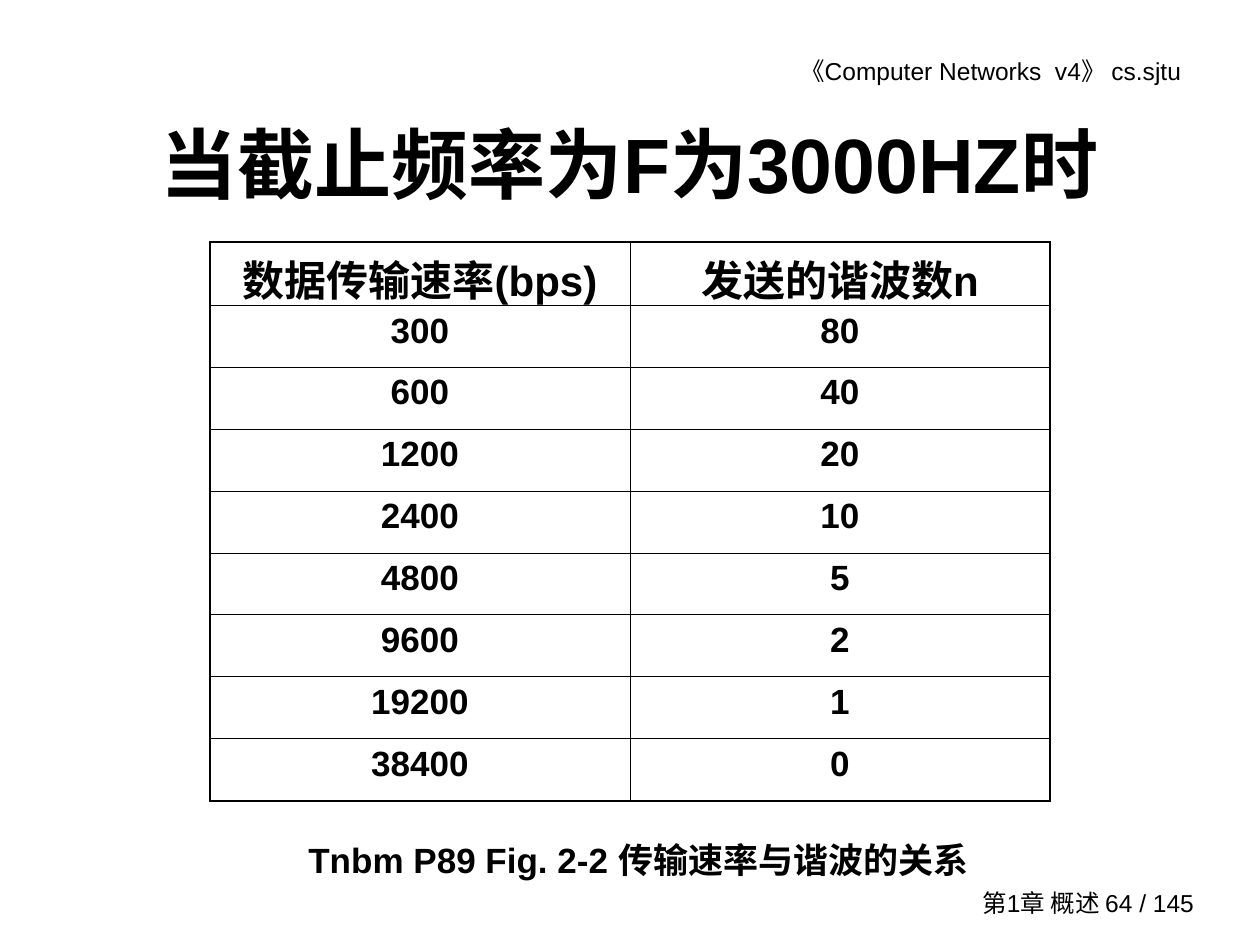
"""Build a slide that tabulates data rates against harmonics sent at a 3000 HZ cutoff."""
from lxml import etree
from pptx import Presentation
from pptx.dml.color import RGBColor
from pptx.enum.text import MSO_ANCHOR, MSO_AUTO_SIZE, PP_ALIGN
from pptx.oxml.ns import qn
from pptx.util import Pt

EMU_PER_PX = 914400 / 126
CENTER, RIGHT = PP_ALIGN.CENTER, PP_ALIGN.RIGHT
TOP, MIDDLE = MSO_ANCHOR.TOP, MSO_ANCHOR.MIDDLE
NO_AUTOFIT = MSO_AUTO_SIZE.NONE
COLORS = {"text": "000000", "border": "000000"}
FONT = "Arial"
TITLE_ONLY = 5
OUTER_BORDER, INNER_BORDER = 1.08, 0.45

HEADINGS = ("数据传输速率(bps)", "发送的谐波数n")
HARMONICS = {300: 80, 600: 40, 1200: 20, 2400: 10,
             4800: 5, 9600: 2, 19200: 1, 38400: 0}


def px(length):
    return round(length * EMU_PER_PX)


def write_text(frame, text, size=20, bold=True, align=CENTER):
    paragraph = frame.paragraphs[0]
    paragraph.text = text
    paragraph.alignment = align
    font = paragraph.runs[0].font
    font.name, font.size, font.bold = FONT, Pt(size), bold
    font.color.rgb = RGBColor.from_string(COLORS["text"])


class SlideBuilder:
    def __init__(self, presentation):
        self.slide = presentation.slides.add_slide(presentation.slide_layouts[TITLE_ONLY])

    def title(self, text, left, top, width, height):
        title = self.slide.shapes.title
        title.left, title.top = px(left), px(top)
        title.width, title.height = px(width), px(height)
        title.text_frame.auto_size = NO_AUTOFIT
        title.text_frame.vertical_anchor = MIDDLE
        write_text(title.text_frame, text, size=44)

    def text_box(self, text, left, top, width, height, anchor=TOP, right_margin=13, **style):
        box = self.slide.shapes.add_textbox(px(left), px(top), px(width), px(height))
        frame = box.text_frame
        frame.word_wrap = True
        frame.vertical_anchor = anchor
        frame.margin_right = px(right_margin)
        write_text(frame, text, **style)

    def border(self, cell, side, width):
        line = etree.SubElement(cell._tc.get_or_add_tcPr(), qn(f"a:ln{side}"), w=str(Pt(width)))
        fill = etree.SubElement(line, qn("a:solidFill"))
        etree.SubElement(fill, qn("a:srgbClr"), val=COLORS["border"])

    def table(self, rows, left, top, width, header_height, row_height):
        height = header_height + row_height * (len(rows) - 1)
        table = self.slide.shapes.add_table(
            len(rows), len(rows[0]), px(left), px(top), px(width), px(height)).table
        table.first_row = table.horz_banding = False
        last_row, last_column = len(rows) - 1, len(rows[0]) - 1
        for row, values in enumerate(rows):
            table.rows[row].height = px(row_height if row else header_height)
            for column, value in enumerate(values):
                cell = table.cell(row, column)
                write_text(cell.text_frame, str(value), size=20 if row else 24)
                outer_sides = {"L": column == 0, "R": column == last_column,
                               "T": row == 0, "B": row == last_row}
                for side, is_outer in outer_sides.items():
                    self.border(cell, side, OUTER_BORDER if is_outer else INNER_BORDER)
                cell.fill.background()


def main():
    presentation = Presentation()
    presentation.slide_width, presentation.slide_height = px(1260), px(945)
    builder = SlideBuilder(presentation)
    builder.text_box("《Computer Networks  v4》 cs.sjtu", 674, 50, 533, 43,
                     right_margin=26, size=14, bold=False, align=RIGHT)
    builder.text_box("第1章 概述 64 / 145", 945, 882, 262, 42,
                     anchor=MIDDLE, size=14, bold=False, align=RIGHT)
    builder.title("当截止频率为F为3000HZ时", 94, 84, 1071, 158)
    builder.table([HEADINGS, *HARMONICS.items()], 210, 242, 840, 63, 62)
    builder.text_box("Tnbm P89 Fig. 2-2 传输速率与谐波的关系", 291, 832, 696, 55)
    presentation.save("out.pptx")


if __name__ == "__main__":
    main()
